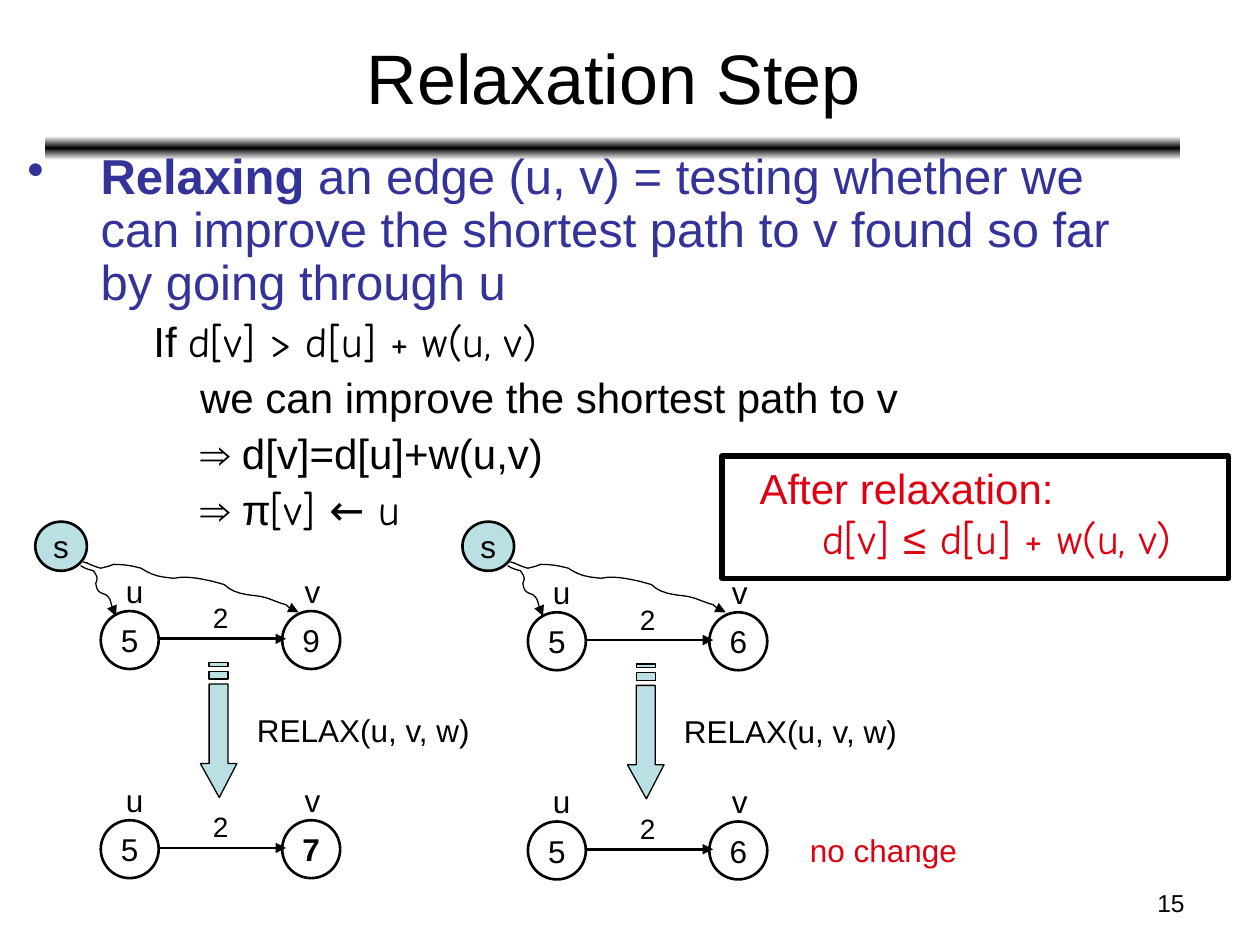
"""Build the slide that explains the relaxation step on shortest paths."""
from copy import deepcopy
from pptx import Presentation
from pptx.dml.color import RGBColor
from pptx.enum.shapes import MSO_CONNECTOR, MSO_SHAPE
from pptx.enum.text import MSO_ANCHOR, MSO_AUTO_SIZE, PP_ALIGN
from pptx.oxml.ns import qn
from pptx.oxml.xmlchemy import OxmlElement
from pptx.util import Inches, Pt

LEFT, MID, RIGHT = PP_ALIGN.LEFT, PP_ALIGN.CENTER, PP_ALIGN.RIGHT
TOP, MIDDLE = MSO_ANCHOR.TOP, MSO_ANCHOR.MIDDLE
OVAL, RECT, ROUND = MSO_SHAPE.OVAL, MSO_SHAPE.RECTANGLE, MSO_SHAPE.ROUNDED_RECTANGLE
STRAIGHT = MSO_CONNECTOR.STRAIGHT

THEME = {
    "ink": "000000", "blue": "333399", "red": "DD0111", "pale": "BBE0E3", "paper": "FFFFFF",
    "sans": "Arial", "hand": "Comic Neue",
    "title": 40, "lead": 28, "body": 24, "label": 18, "cost": 16, "page": 14,
}
W, H = 10, 7.5
GAP_X, DROP, GAP_Y = 3.39, 0.01, 1.66
NODE = 0.46

BODY = [
    (0.58, "lead", "blue", [("Relaxing ", "sans", True),
     ("an edge (u, v) = testing whether we can improve the shortest path to v "
      "found so far by going through u", "sans", False)]),
    (1, "body", "ink", [("If ", "sans", False), ("d[v] > d[u] + w(u, v)", "hand", False)]),
    (1.37, "body", "ink", [("we can improve the shortest path to v", "sans", False)]),
    (1.37, "body", "ink", [("⇒ d[v]=d[u]+w(u,v)", "sans", False)]),
    (1.37, "body", "ink", [("⇒ π", "sans", False), ("[v] ← u", "hand", False)]),
]
AFTER = [
    (0, "body", "red", [("After relaxation:", "sans", False)]),
    (0.5, "body", "red", [("d[v] ", "hand", False), ("≤", "sans", False),
                          (" d[u] + w(u, v)", "hand", False)]),
]
CASES = [[("5", "9", False), ("5", "7", True)], [("5", "6", False), ("5", "6", False)]]
ARROW = [
    [(1.88, 6.06), (1.81, 6.06), (1.81, 5.43), (1.66, 5.43), (1.66, 6.06), (1.59, 6.06), (1.74, 6.33)],
    [(1.81, 5.33), (1.66, 5.33), (1.66, 5.39), (1.81, 5.39)],
    [(1.81, 5.26), (1.66, 5.26), (1.66, 5.29), (1.81, 5.29)],
]
PATHS = [
    [(0.64, 4.49), (0.67, 4.51), (0.7, 4.52), (0.74, 4.53), (0.77, 4.57), (0.78, 4.59),
     (0.76, 4.63), (0.77, 4.69), (0.78, 4.7), (0.84, 4.72), (0.89, 4.76), (0.87, 4.78),
     (0.9, 4.84), (0.91, 4.88), (0.91, 4.86), (0.92, 4.89)],
    [(0.66, 4.46), (0.76, 4.49), (0.61, 4.44), (0.74, 4.49), (0.76, 4.5), (0.8, 4.51),
     (0.8, 4.51), (0.88, 4.49), (0.85, 4.5), (0.9, 4.48), (0.99, 4.48), (1.04, 4.49),
     (1.12, 4.51), (1.21, 4.57), (1.27, 4.58), (1.38, 4.59), (1.48, 4.57), (1.57, 4.59),
     (1.67, 4.61), (1.71, 4.62), (1.78, 4.64), (1.78, 4.64), (1.85, 4.71), (1.95, 4.72),
     (2.04, 4.73), (2.13, 4.74), (2.19, 4.78), (2.27, 4.8), (2.29, 4.82), (2.32, 4.84),
     (2.34, 4.85), (2.35, 4.85), (2.37, 4.86), (2.37, 4.86)],
]

deck = Presentation()
deck.slide_width, deck.slide_height = Inches(W), Inches(H)
slide = deck.slides.add_slide(deck.slide_layouts[6])
shapes = slide.shapes


def tint(name):
    return RGBColor.from_string(THEME[name])


def node(tag, parent, **attrs):
    item = OxmlElement(tag)
    for key, val in attrs.items():
        item.set(key, str(val))
    parent.append(item)
    return item


def write(para, runs, size, color):
    for text, face, bold in runs:
        run = para.add_run()
        run.text = text
        font = run.font
        font.name, font.size, font.bold = THEME[face], Pt(THEME[size]), bold
        font.color.rgb = tint(color)


def label(box, text, size="label", color="ink", align=LEFT, anchor=TOP, wrap=False, bold=False):
    frame = box.text_frame
    frame.word_wrap, frame.vertical_anchor = wrap, anchor
    para = frame.paragraphs[0]
    para.alignment = align
    write(para, [(text, "sans", bold)], size, color)


def area(x, y, w, h):
    return shapes.add_textbox(*map(Inches, (x, y, w, h)))


def note(x, y, w, h, text, size="label", color="ink"):
    box = area(x, y, w, h)
    label(box, text, size, color)
    box.text_frame.auto_size = MSO_AUTO_SIZE.SHAPE_TO_FIT_TEXT


def block(box, rows, line=None, space=0):
    frame = box.text_frame
    frame.word_wrap = True
    for i, (left, size, color, runs) in enumerate(rows):
        para = frame.add_paragraph() if i else frame.paragraphs[0]
        para._p.get_or_add_pPr().set("marL", str(Inches(left)))
        para.line_spacing = line
        para.space_before = Pt(space if i else 0)
        write(para, runs, size, color)
    return frame.paragraphs


def style(shape, width, fill=None):
    shape.shadow.inherit = False
    if fill:
        shape.fill.solid()
        shape.fill.fore_color.rgb = tint(fill)
    else:
        shape.fill.background()
    shape.line.color.rgb, shape.line.width = tint("ink"), Pt(width)


def tip(shape):
    node("a:tailEnd", shape.line._get_or_add_ln(), type="triangle")


def ring(x, y, w, h, text, fill=None, bold=False):
    oval = shapes.add_shape(OVAL, *map(Inches, (x, y, w, h)))
    style(oval, 1.5, fill)
    label(oval, text, align=MID, anchor=MIDDLE, bold=bold)


def outline(loops, dx, dy, close, fill=None):
    loops = [[(Inches(x + dx), Inches(y + dy)) for x, y in loop] for loop in loops]
    pen = shapes.build_freeform(*loops[0][0])
    for i, loop in enumerate(loops):
        if i:
            pen.move_to(*loop[0])
        pen.add_line_segments(loop[1:], close=close)
    shape = pen.convert_to_shape()
    style(shape, 0.75, fill)
    return shape


def curve(knots, steps=6):
    pts = [knots[0]]
    for i in range(0, len(knots) - 1, 3):
        for k in range(1, steps + 1):
            t = k / steps
            mix = ((1 - t) ** 3, 3 * t * (1 - t) ** 2, 3 * t * t * (1 - t), t ** 3)
            pts.append(tuple(sum(m * p[a] for m, p in zip(mix, knots[i:i + 4])) for a in (0, 1)))
    return pts


def edge(dx, dy, near, far, bold):
    ring(0.8 + dx, 4.85 + dy, NODE, NODE, near)
    ring(2.24 + dx, 4.85 + dy, NODE, NODE, far, bold=bold)
    y = Inches(5.07 + dy)
    link = shapes.add_connector(STRAIGHT, Inches(1.26 + dx), y, Inches(2.27 + dx), y)
    link.line.color.rgb, link.line.width = tint("ink"), Pt(1.5)
    tip(link)
    node("a:effectLst", link._element.spPr)
    note(1.59 + dx, 4.72 + dy, 0.32, 0.37, "2", "cost")
    for x, name in ((0.9, "u"), (2.32, "v")):
        note(x + dx, 4.49 + dy, 0.33, 0.4, name)


bar = shapes.add_shape(ROUND, *map(Inches, (0.36, 1.08, 9.01, 0.19)))
bar.shadow.inherit = False
bar.line.fill.background()
bar.fill.gradient()
bar.fill.gradient_angle = 90
for stop, spot in zip(bar.fill.gradient_stops, (0, 1)):
    stop.color.rgb, stop.position = tint("paper"), spot
stops = bar._element.spPr.find(qn("a:gradFill")).find(qn("a:gsLst"))
stops.insert(1, deepcopy(stops[0]))
core = bar.fill.gradient_stops[1]
core.color.rgb, core.position = tint("ink"), 0.5

label(area(7.17, 7, 2.33, 0.35), "15", "page", align=RIGHT, wrap=True)
label(area(0.37, 0.11, 9, 0.99), "Relaxation Step", "title", align=MID, anchor=MIDDLE, wrap=True)

lead = block(area(0.12, 1.16, 9, 3.19), BODY, 0.9, 6)[0]._p.get_or_add_pPr()
lead.set("indent", str(-Inches(BODY[0][0])))
node("a:srgbClr", node("a:buClr", lead), val=THEME["blue"])
node("a:buChar", lead, char="•")

for col, rows in enumerate(CASES):
    dx, dy = col * GAP_X, col * DROP
    for row, (near, far, bold) in enumerate(rows):
        edge(dx, dy + row * GAP_Y, near, far, bold)
    outline(ARROW, dx, dy, True, "pale")
    note(1.94 + dx, 5.59 + dy, 1.91, 0.4, "RELAX(u, v, w)")
    ring(0.28 + dx, 4.14, 0.41, 0.39, "s", "pale")
    for knots in PATHS:
        tip(outline([curve(knots)], dx, 0, False))

block(area(5.93, 3.62, 3.71, 0.9), AFTER)
note(6.33, 6.55, 1.37, 0.4, "no change", color="red")
style(shapes.add_shape(RECT, *map(Inches, (5.73, 3.62, 4.02, 0.97))), 3)

deck.save("out.pptx")
